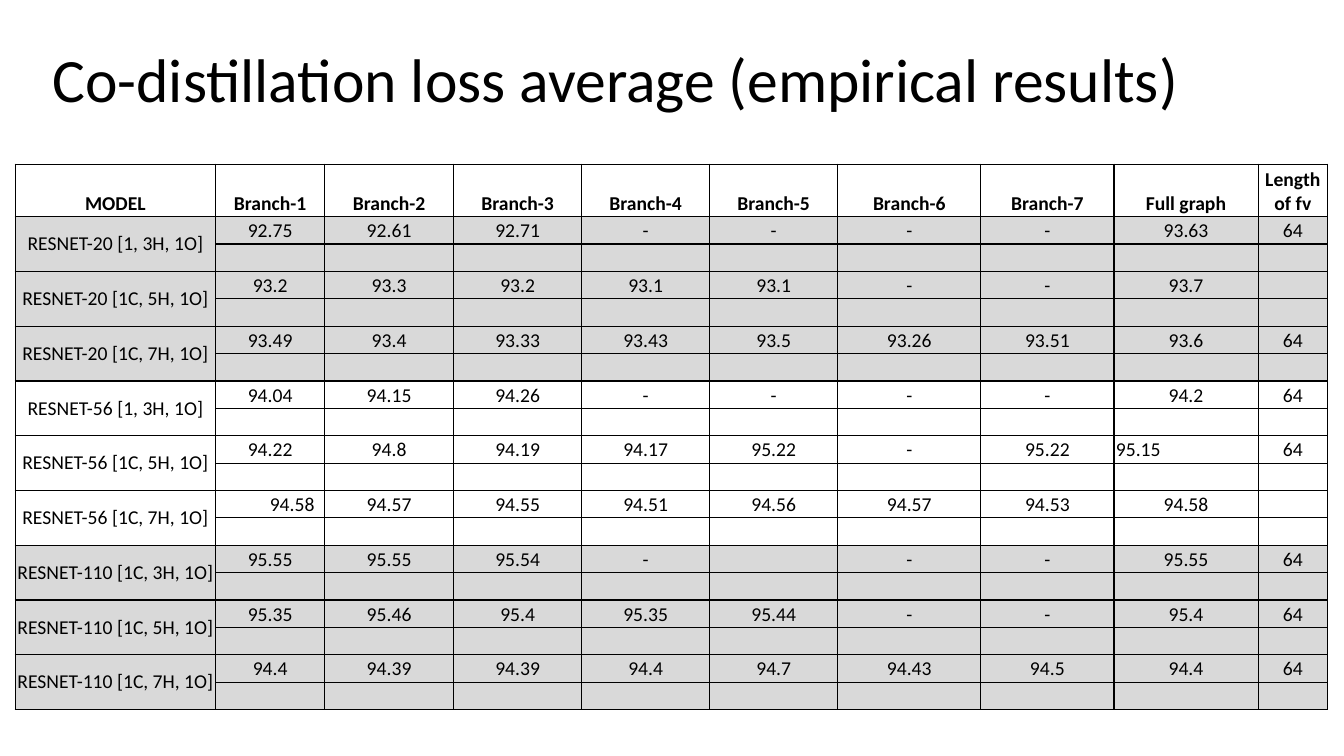
import pptx
import pptx.dml.color
import pptx.enum.text
import pptx.oxml.ns
import pptx.util
from lxml import etree

ALIGN = pptx.enum.text.PP_ALIGN
ANCHOR = pptx.enum.text.MSO_ANCHOR
COLORS = {"ink": "000000", "gray": "D9D9D9", "white": "FFFFFF"}
COLS, ROWS = 1333, 750
WIDTHS = [199, 108, 128, 127, 127, 127, 142, 132, 143, 69]
HEAD = ["MODEL", *(f"Branch-{n}" for n in range(1, 8)), "Full graph", "Length of fv"]
MODELS = [
    ("RESNET-20 [1, 3H, 1O]", "92.75|92.61|92.71|-|-|-|-|93.63|64"),
    ("RESNET-20 [1C, 5H, 1O]", "93.2|93.3|93.2|93.1|93.1|-|-|93.7|"),
    ("RESNET-20 [1C, 7H, 1O]", "93.49|93.4|93.33|93.43|93.5|93.26|93.51|93.6|64"),
    ("RESNET-56 [1, 3H, 1O]", "94.04|94.15|94.26|-|-|-|-|94.2|64"),
    ("RESNET-56 [1C, 5H, 1O]", "94.22|94.8|94.19|94.17|95.22|-|95.22|95.15|64"),
    ("RESNET-56 [1C, 7H, 1O]", "94.58|94.57|94.55|94.51|94.56|94.57|94.53|94.58|"),
    ("RESNET-110 [1C, 3H, 1O]", "95.55|95.55|95.54|-||-|-|95.55|64"),
    ("RESNET-110 [1C, 5H, 1O]", "95.35|95.46|95.4|95.35|95.44|-|-|95.4|64"),
    ("RESNET-110 [1C, 7H, 1O]", "94.4|94.39|94.39|94.4|94.7|94.43|94.5|94.4|64"),
]


class Deck:
    font = "Calibri"

    def __init__(self):
        self.show = pptx.Presentation()
        self.show.slide_width = pptx.util.Inches(13.33)
        self.show.slide_height = pptx.util.Inches(7.5)
        self.slide = self.show.slides.add_slide(self.show.slide_layouts[5])

    def wide(self, cols):
        return round(self.show.slide_width * cols / COLS)

    def high(self, rows):
        return round(self.show.slide_height * rows / ROWS)

    def box(self, left, top, width, height):
        return self.wide(left), self.high(top), self.wide(width), self.high(height)

    def color(self, name):
        return pptx.dml.color.RGBColor.from_string(COLORS[name])

    def style(self, part, size, bold=False):
        for run in part.runs:
            run.font.name = self.font
            run.font.size = pptx.util.Pt(size)
            run.font.bold = bold
            run.font.color.rgb = self.color("ink")

    def title(self, text, place):
        shape = self.slide.shapes.title
        shape.left, shape.top, shape.width, shape.height = self.box(*place)
        frame = shape.text_frame
        frame.text = text
        frame.word_wrap = True
        frame.vertical_anchor = ANCHOR.MIDDLE
        part = frame.paragraphs[0]
        part.alignment = ALIGN.LEFT
        part.line_spacing = 0.9
        self.style(part, 44)

    def table(self, place, widths, heights):
        shape = self.slide.shapes.add_table(len(heights), len(widths), *self.box(*place))
        table = shape.table
        table.first_row = table.horz_banding = False
        for col, width in zip(table.columns, widths):
            col.width = self.wide(width)
        for row, height in zip(table.rows, heights):
            row.height = self.high(height)
        return table

    def edges(self, cell):
        props = cell._tc.get_or_add_tcPr()
        qn = pptx.oxml.ns.qn
        for side in "LRTB":
            line = etree.SubElement(props, qn(f"a:ln{side}"), w=str(pptx.util.Pt(1)))
            fill = etree.SubElement(line, qn("a:solidFill"))
            etree.SubElement(fill, qn("a:srgbClr"), val=COLORS["ink"])

    def cell(self, cell, text, fill, anchor=ANCHOR.BOTTOM, bold=False):
        self.edges(cell)
        cell.fill.solid()
        cell.fill.fore_color.rgb = self.color(fill)
        cell.margin_left = cell.margin_right = self.wide(2)
        cell.margin_top = cell.margin_bottom = self.high(1)
        cell.vertical_anchor = anchor
        cell.text_frame.text = text
        part = cell.text_frame.paragraphs[0]
        part.alignment = ALIGN.CENTER
        self.style(part, 14, bold)
        etree.SubElement(part._p, pptx.oxml.ns.qn("a:endParaRPr"), sz="1400")


def main():
    deck = Deck()
    heights = [52] + [27.2] * (2 * len(MODELS))
    table = deck.table((15, 163, sum(WIDTHS), sum(heights)), WIDTHS, heights)
    for col, text in enumerate(HEAD):
        deck.cell(table.cell(0, col), text, "white", bold=True)
    for index, (model, scores) in enumerate(MODELS):
        top = 1 + 2 * index
        fill = "white" if "-56" in model else "gray"
        for col, text in enumerate([model, *scores.split("|")]):
            anchor = ANCHOR.BOTTOM if col else ANCHOR.MIDDLE
            deck.cell(table.cell(top, col), text, fill, anchor)
            deck.cell(table.cell(top + 1, col), "", fill)
        table.cell(top, 0).merge(table.cell(top + 1, 0))
    table.cell(9, 8).text_frame.paragraphs[0].alignment = ALIGN.LEFT
    shifted = table.cell(11, 1)
    shifted.text_frame.paragraphs[0].alignment = ALIGN.RIGHT
    shifted.margin_right = deck.wide(10)
    deck.title("Co-distillation loss average (empirical results)", (42, 9, 1150, 145))
    deck.show.save("out.pptx")


if __name__ == "__main__":
    main()
